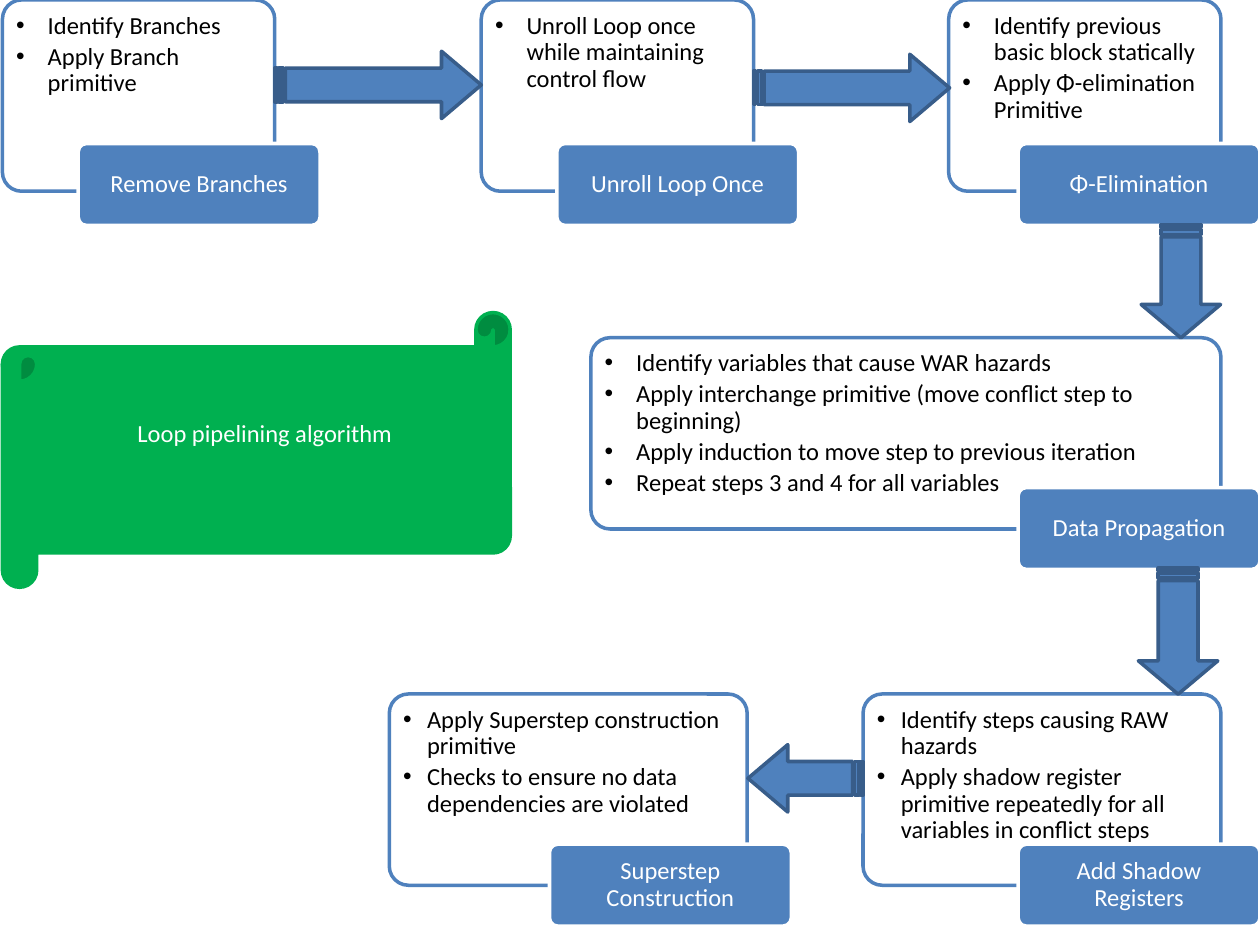
import pptx
import pptx.util
import pptx.dml.color
import pptx.enum.shapes
import pptx.enum.text
import pptx.oxml.ns
from lxml import etree

Pt = pptx.util.Pt
RGB = pptx.dml.color.RGBColor
KIND = pptx.enum.shapes.MSO_SHAPE
ALIGN = pptx.enum.text.PP_ALIGN
ANCHOR = pptx.enum.text.MSO_ANCHOR

BLUE = RGB(0x4F, 0x81, 0xBD)
NAVY = RGB(0x38, 0x5D, 0x8A)
GREEN = RGB(0x00, 0xB0, 0x50)
WHITE = RGB(0xFF, 0xFF, 0xFF)
BLACK = RGB(0x00, 0x00, 0x00)

CARD_H = 109.3
TAG_W, TAG_H = 138.2, 46.8
ROW_1, ROW_2, ROW_3 = 0, 193, 396.6
TAG_1, TAG_2, TAG_3 = 82, 278.6, 482.4
RIGHT = 581.8

STEPS = [
    ("Remove Branches", (1.4, ROW_1, 155.6), (44.7, TAG_1), 18,
     ["Identify Branches", "Apply Branch primitive"]),
    ("Add Shadow Registers", (493.2, ROW_3, 204.5), (RIGHT, TAG_3), 13.7,
     ["Identify steps causing RAW hazards",
      "Apply shadow register primitive repeatedly for all variables in conflict steps"]),
    ("Data Propagation", (337.7, ROW_2, 360), (RIGHT, TAG_2), 18,
     ["Identify variables that cause WAR hazards",
      "Apply interchange primitive (move conflict step to beginning)",
      "Apply induction to move step to previous iteration",
      "Repeat steps 3 and 4 for all variables"]),
    ("Unroll Loop Once", (275, ROW_1, 155.6), (318.2, TAG_1), 18,
     ["Unroll Loop once while maintaining control flow"]),
    ("Φ-Elimination", (542.1, ROW_1, 155.6), (RIGHT, TAG_1), 18,
     ["Identify previous basic block statically",
      "Apply Φ-elimination Primitive"]),
    ("Superstep Construction", (222.5, ROW_3, 204.5), (314, TAG_3), 13.7,
     ["Apply Superstep construction primitive",
      "Checks to ensure no data dependencies are violated"]),
]

ARROWS = [
    (157, 29.3, 118, 38.5, 0, 0.59),
    (430.6, 31, 112, 38.5, 0, 0.59),
    (642.4, 138, 64.8, 45.4, 90, 0.42),
    (637.2, 338, 72, 45.4, 90, 0.42),
    (427.4, 425.5, 65.8, 38.5, 180, 0.59),
]


def add_block(slide, kind, box, fill, line, adj):
    block = slide.shapes.add_shape(kind, *[Pt(v) for v in box])
    block.shadow.inherit = False
    block.fill.solid()
    block.fill.fore_color.rgb = fill
    block.line.color.rgb = line
    block.line.width = Pt(2)
    for i, value in enumerate(adj):
        block.adjustments[i] = value
    return block


def write(block, text, color, align, anchor, pads):
    frame = block.text_frame
    frame.word_wrap = True
    frame.vertical_anchor = anchor
    frame.margin_left, frame.margin_top, frame.margin_right, frame.margin_bottom = [
        Pt(v) for v in pads]
    frame.text = text
    for para in frame.paragraphs:
        para.alignment = align
        para.line_spacing = 0.9
        for run in para.runs:
            run.font.name = "Calibri"
            run.font.size = Pt(14)
            run.font.color.rgb = color


def set_bullet(para, indent):
    props = para._p.get_or_add_pPr()
    props.set("marL", str(Pt(indent)))
    props.set("indent", str(-Pt(indent)))
    para.space_after = Pt(2.6)
    qn = pptx.oxml.ns.qn
    etree.SubElement(props, qn("a:buFont")).set("typeface", "Arial")
    etree.SubElement(props, qn("a:buChar")).set("char", "•")


def add_card(slide, spot, indent, lines):
    box = (*spot, CARD_H)
    card = add_block(slide, KIND.ROUNDED_RECTANGLE, box, WHITE, BLUE, [0.1])
    write(card, "\n".join(lines), BLACK, ALIGN.LEFT, ANCHOR.TOP, (4.7, 4.2, 4.7, 0))
    for para in card.text_frame.paragraphs:
        set_bullet(para, indent)


def add_tag(slide, spot, name):
    box = (*spot, TAG_W, TAG_H)
    tag = add_block(slide, KIND.ROUNDED_RECTANGLE, box, BLUE, WHITE, [0.1])
    write(tag, name, WHITE, ALIGN.CENTER, ANCHOR.MIDDLE, (6.5, 4, 6.5, 4))


def add_arrow(slide, x, y, w, h, turn, head):
    arrow = add_block(slide, KIND.STRIPED_RIGHT_ARROW, (x, y, w, h), BLUE, NAVY, [0.5, head])
    arrow.rotation = turn


def add_scroll(slide):
    box = (1.4, 178.6, 290.2, 157)
    scroll = add_block(slide, KIND.HORIZONTAL_SCROLL, box, GREEN, GREEN, [0.125])
    write(scroll, "Loop pipelining algorithm", WHITE, ALIGN.CENTER, ANCHOR.MIDDLE,
          (7.2, 3.6, 7.2, 20.6))


def main():
    deck = pptx.Presentation()
    deck.slide_width, deck.slide_height = Pt(720), Pt(540)
    slide = deck.slides.add_slide(deck.slide_layouts[6])
    for name, card, tag, indent, lines in STEPS:
        add_card(slide, card, indent, lines)
        add_tag(slide, tag, name)
    for arrow in ARROWS:
        add_arrow(slide, *arrow)
    add_scroll(slide)
    deck.save("out.pptx")


if __name__ == "__main__":
    main()
